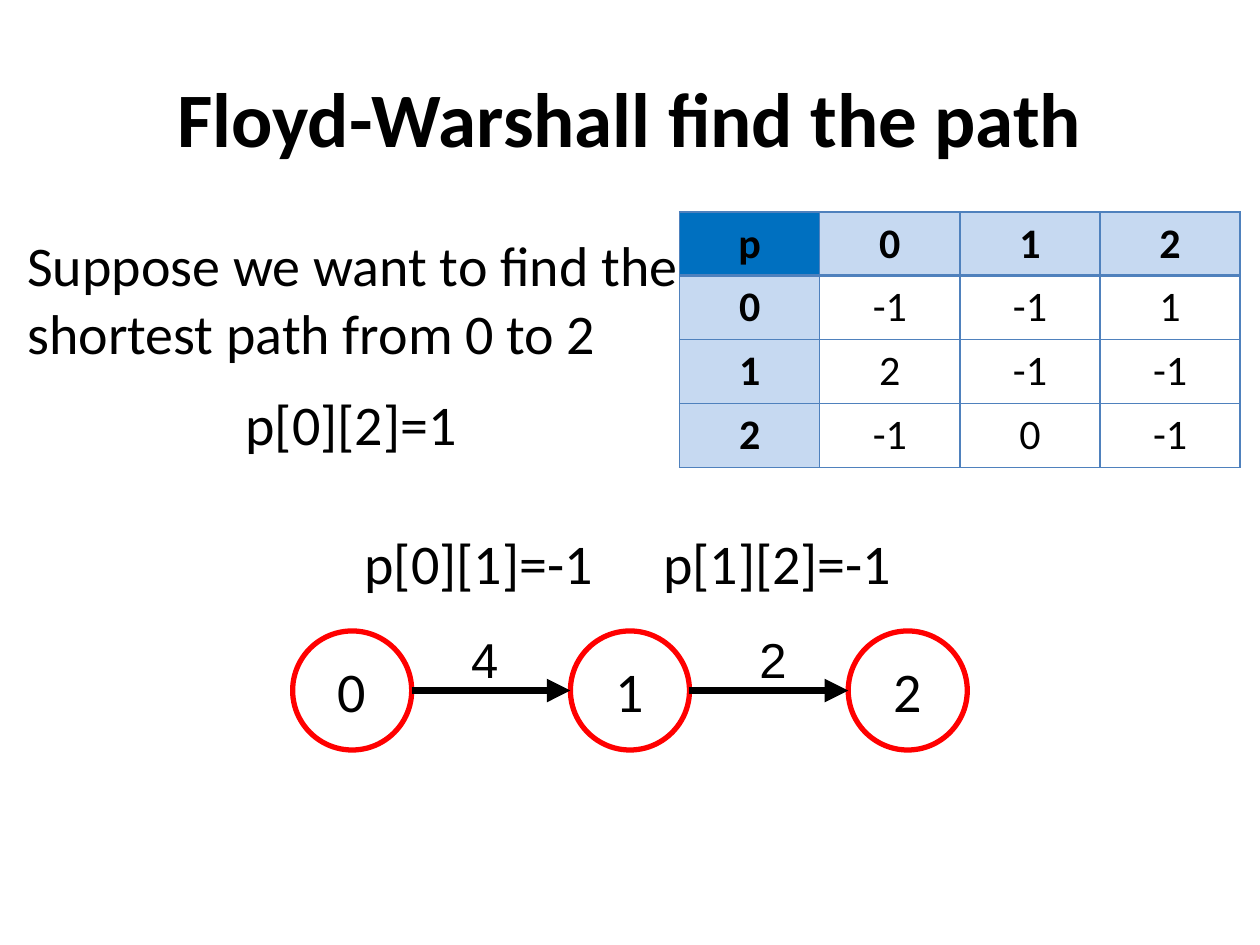
"""Build a slide that traces a shortest path in a Floyd-Warshall path matrix."""
from lxml.etree import SubElement
from pptx import Presentation
from pptx.dml.color import RGBColor
from pptx.enum.shapes import MSO_CONNECTOR as CONN, MSO_SHAPE as SHAPE
from pptx.enum.text import MSO_ANCHOR as ANCHOR, MSO_AUTO_SIZE as FIT, PP_ALIGN as ALIGN
from pptx.oxml.ns import qn
from pptx.util import Cm, Pt

COLORS = {"text": "000000", "ring": "FF0000", "border": "4F81BD",
          "corner": "0070C0", "header": "C6D9F1"}


class Deck:
    """Style and current slide, with one method per kind of element."""

    def __init__(self, slide, font="Calibri", size=32):
        self.s, self.font, self.size = slide, font, size

    def color(self, name):
        return RGBColor.from_string(COLORS[name])

    def set_text(self, tf, text, size=None, font=None, bold=False, align=ALIGN.LEFT):
        tf.text = text
        p = tf.paragraphs[0]
        p.alignment = align
        f = p.runs[0].font
        f.name, f.size, f.bold = font or self.font, Pt(size or self.size), bold
        f.color.rgb = self.color("text")

    def title(self, text):
        sp = self.s.shapes.title
        sp.left, sp.top, sp.width, sp.height = Cm(1.27), Cm(0.76), Cm(22.86), Cm(3.18)
        sp.text_frame.vertical_anchor = ANCHOR.MIDDLE
        self.set_text(sp.text_frame, text, 44, bold=True, align=ALIGN.CENTER)

    def text(self, text, x, y, w, h, size=None, font=None, wrap=False):
        tf = self.s.shapes.add_textbox(Cm(x), Cm(y), Cm(w), Cm(h)).text_frame
        tf.word_wrap, tf.auto_size = wrap, FIT.SHAPE_TO_FIT_TEXT
        self.set_text(tf, text, size, font)

    def node(self, text, cx, cy, d):
        sp = self.s.shapes.add_shape(SHAPE.OVAL, Cm(cx - d / 2), Cm(cy - d / 2), Cm(d), Cm(d))
        sp.shadow.inherit = False
        sp.fill.background()
        sp.line.color.rgb, sp.line.width = self.color("ring"), Pt(3)
        sp.text_frame.vertical_anchor = ANCHOR.MIDDLE
        self.set_text(sp.text_frame, text, align=ALIGN.CENTER)

    def arrow(self, x1, x2, y):
        cx = self.s.shapes.add_connector(CONN.STRAIGHT, Cm(x1), Cm(y), Cm(x2), Cm(y))
        cx.line.color.rgb, cx.line.width = self.color("text"), Pt(4.5)
        sp_pr = cx._element.spPr
        SubElement(sp_pr.find(qn("a:ln")), qn("a:tailEnd"), type="triangle")
        SubElement(sp_pr, qn("a:effectLst"))

    def borders(self, cell, row):
        widths = {"L": 1, "R": 1, "T": 2 if row == 1 else 1, "B": 2 if row == 0 else 1}
        tc_pr = cell._tc.get_or_add_tcPr()
        for side, width in widths.items():
            ln = SubElement(tc_pr, qn(f"a:ln{side}"), w=str(int(Pt(width))))
            fill = SubElement(ln, qn("a:solidFill"))
            SubElement(fill, qn("a:srgbClr"), val=COLORS["border"])

    def table(self, rows, x, y, w, h):
        frame = self.s.shapes.add_table(len(rows), len(rows[0]), Cm(x), Cm(y), Cm(w), Cm(h))
        tbl = frame.table
        tbl.first_row = tbl.horz_banding = False
        for i, row in enumerate(rows):
            for j, value in enumerate(row):
                cell = tbl.cell(i, j)
                head = i == 0 or j == 0
                self.set_text(cell.text_frame, value, 24, bold=head, align=ALIGN.CENTER)
                self.borders(cell, i)
                if head:
                    cell.fill.solid()
                    cell.fill.fore_color.rgb = self.color("header" if i or j else "corner")
                else:
                    cell.fill.background()


def main():
    prs = Presentation()
    prs.slide_width, prs.slide_height = Cm(25.4), Cm(19.05)
    deck = Deck(prs.slides.add_slide(prs.slide_layouts[5]))
    deck.title("Floyd-Warshall find the path")
    deck.table([["p", "0", "1", "2"],
                ["0", "-1", "-1", "1"],
                ["1", "2", "-1", "-1"],
                ["2", "-1", "0", "-1"]], 13.7, 4.27, 11.3, 5.12)
    deck.text("Suppose we want to find the shortest path from 0 to 2",
              0.3, 4.53, 13.8, 3, wrap=True)
    deck.text("p[0][2]=1", 4.7, 7.72, 5, 1.62)
    deck.text("p[0][1]=-1", 7.1, 10.52, 5.18, 1.62)
    deck.text("p[1][2]=-1", 13.12, 10.52, 5.18, 1.62)

    first, pitch, cy, d = 7.1, 5.6, 13.92, 2.4
    for i in range(3):
        deck.node(str(i), first + i * pitch, cy, d)
    for i, (weight, x) in enumerate([("4", 9.25), ("2", 15.06)]):
        start = first + i * pitch + d / 2
        deck.arrow(start, start + pitch - d, cy)
        deck.text(weight, x, 12.57, 0.86, 1.45, 28, "Arial")
    prs.save("out.pptx")


if __name__ == "__main__":
    main()
